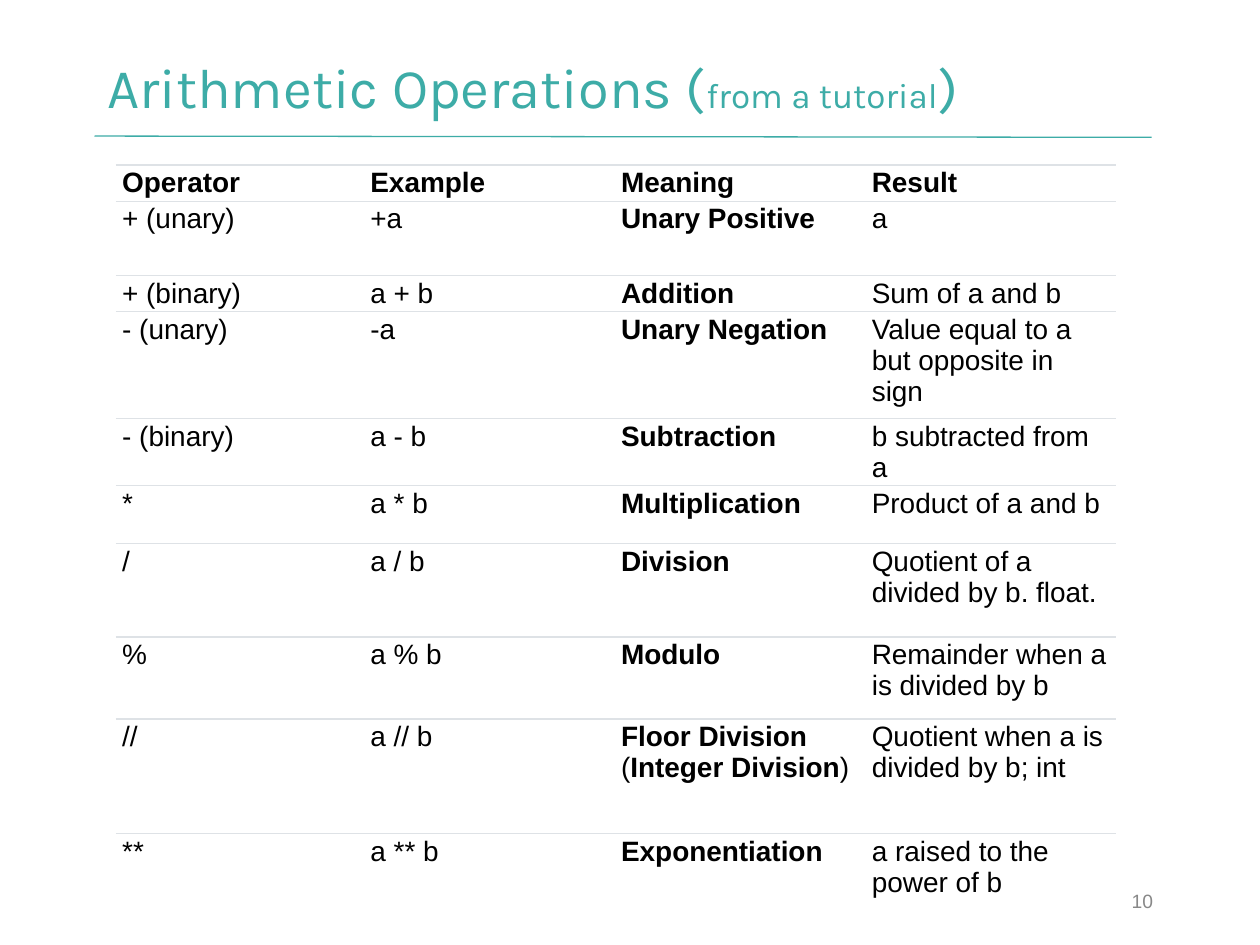
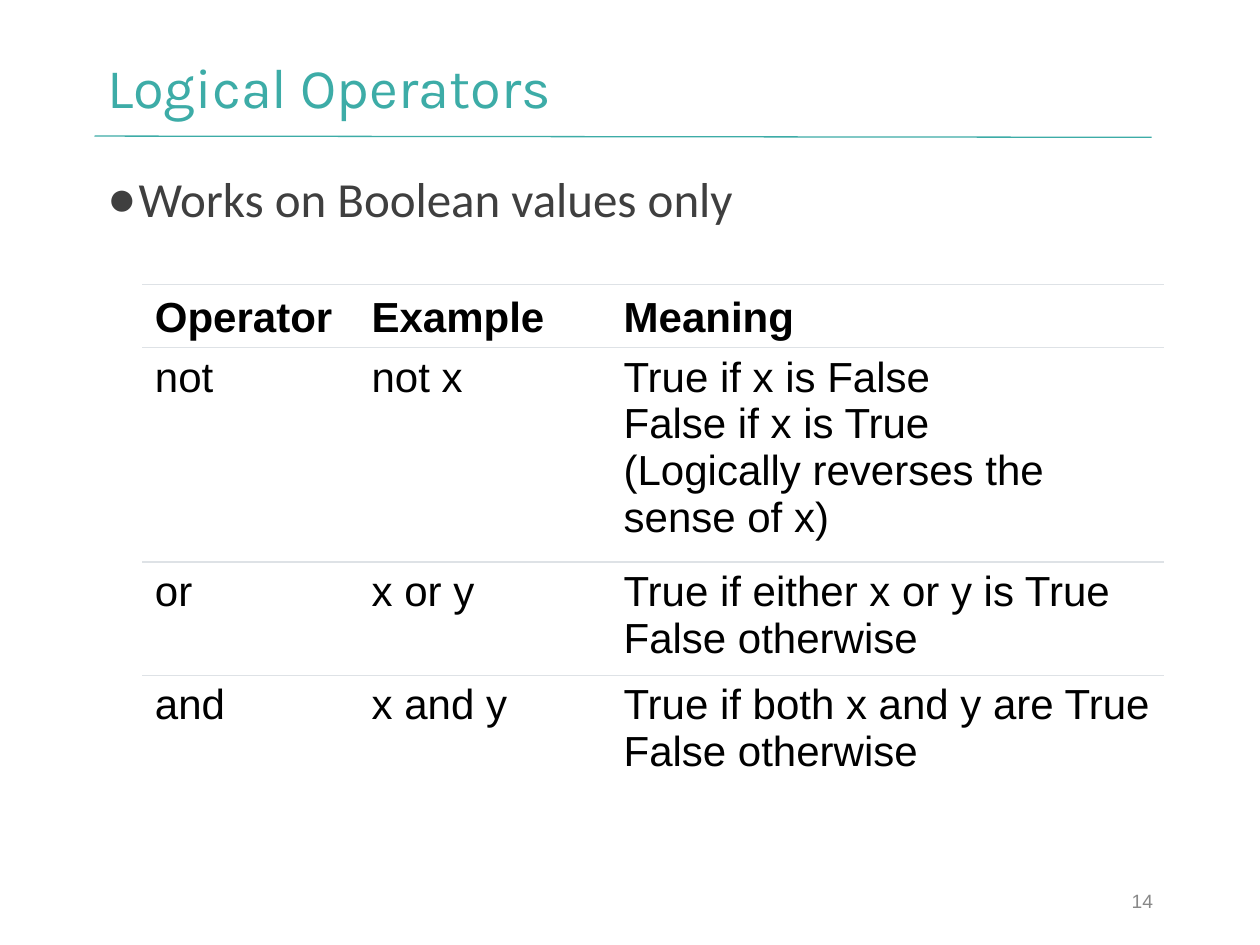
from lxml import etree
from pptx import Presentation
from pptx.dml.color import RGBColor
from pptx.enum.shapes import MSO_CONNECTOR
from pptx.enum.text import MSO_ANCHOR, PP_ALIGN
from pptx.oxml.ns import qn
from pptx.util import Inches, Pt

TEAL = RGBColor(0x3D, 0xAC, 0xA7)
BLACK = RGBColor(0, 0, 0)
WHITE = RGBColor(0xFF, 0xFF, 0xFF)
DARK = RGBColor(0x3F, 0x3F, 0x3F)
GREY = RGBColor(0x88, 0x88, 0x88)
RULE = RGBColor(0xDE, 0xE2, 0xE6)
STRAIGHT = MSO_CONNECTOR.STRAIGHT
TOP, MIDDLE, BOTTOM = MSO_ANCHOR.TOP, MSO_ANCHOR.MIDDLE, MSO_ANCHOR.BOTTOM
LEFT, RIGHT = PP_ALIGN.LEFT, PP_ALIGN.RIGHT
NO_STYLE = "{2D5ABB26-0587-4C30-8999-92F81FD0307C}"

TITLE_BOX = (0.75, 0.35, 7.49, 0.73)
BODY_BOX = (0.75, 1.34, 8.5, 5.42)
PAGE_BOX = (7, 6.95, 2.25, 0.4)

MATH_COLS = [1.97, 1.99, 1.99, 1.99]
MATH_HIGH = [0.26, 0.59, 0.26, 0.85, 0.46, 0.46, 0.74, 0.65, 0.91, 0.46]
MATH = [
    ("Operator", "Example", "Meaning", "Result"),
    ("+ (unary)", "+a", "Unary Positive", "a"),
    ("+ (binary)", "a + b", "Addition", "Sum of a and b"),
    ("- (unary)", "-a", "Unary Negation", "Value equal to a but opposite in sign"),
    ("- (binary)", "a - b", "Subtraction", "b subtracted from a"),
    ("*", "a * b", "Multiplication", "Product of a and b"),
    ("/", "a / b", "Division", "Quotient of a divided by b. float."),
    ("%", "a % b", "Modulo", "Remainder when a is divided by b"),
    ("//", "a // b",
     [("Floor Division", True), (" (", False), ("Integer Division", True), (")", False)],
     "Quotient when a is divided by b; int"),
    ("**", "a ** b", "Exponentiation", "a raised to the power of b"),
]

LOGIC_COLS = [1.72, 2, 4.39]
LOGIC_HIGH = [0.33] * 4
LOGIC = [
    ("Operator", "Example", "Meaning"),
    ("not", "not x",
     "True if x is False\nFalse if x is True\n(Logically reverses the sense of x)"),
    ("or", "x or y", "True if either x or y is True\nFalse otherwise"),
    ("and", "x and y", "True if both x and y are True\nFalse otherwise"),
]


def write(par, text, size=16, font="Arial", color=BLACK, bold=False):
    """Add formatted text to a paragraph, with line breaks at newlines."""
    for i, line in enumerate(text.split("\n")):
        if i:
            par.add_line_break()
        run = par.add_run()
        run.text = line
        run.font.size = Pt(size)
        run.font.name = font
        run.font.color.rgb = color
        run.font.bold = bold


def place(shape, box):
    """Move a shape to a box given in inches."""
    shape.left, shape.top, shape.width, shape.height = map(Inches, box)


def head(slide, parts):
    """Fill the title with (text, size) parts and rule a line below it."""
    title = slide.shapes.title
    place(title, TITLE_BOX)
    title.text_frame.vertical_anchor = MIDDLE
    par = title.text_frame.paragraphs[0]
    par.alignment = LEFT
    par.line_spacing = 0.9
    for text, size in parts:
        write(par, text, size=size, font="Karla", color=TEAL)
    x, y, _, high = TITLE_BOX
    ends = map(Inches, (x, y + high, x + 8.39, y + high + 0.01))
    line = slide.shapes.add_connector(STRAIGHT, *ends)
    line.line.color.rgb = TEAL
    line.line.width = Pt(0.75)
    etree.SubElement(line._element.spPr, qn("a:effectLst"))


def page(slide, num):
    """Put the page number at the lower right."""
    box = slide.shapes.add_textbox(*map(Inches, PAGE_BOX))
    frame = box.text_frame
    frame.word_wrap = True
    frame.vertical_anchor = MIDDLE
    par = frame.paragraphs[0]
    par.alignment = RIGHT
    write(par, str(num), size=11, color=GREY)


def list_body(slide, items):
    """Fill the body placeholder with bulleted items."""
    body = slide.placeholders[1]
    place(body, BODY_BOX)
    frame = body.text_frame
    for i, item in enumerate(items):
        par = frame.add_paragraph() if i else frame.paragraphs[0]
        par.line_spacing = 0.9
        par.space_before = Pt(0)
        write(par, item, size=28, font="Calibri", color=DARK)
        props = par._p.get_or_add_pPr()
        props.set("marL", str(Inches(0.25)))
        props.set("indent", str(-Inches(0.25)))
        tint = etree.SubElement(props, qn("a:buClr"))
        etree.SubElement(tint, qn("a:srgbClr"), val=str(DARK))
        etree.SubElement(props, qn("a:buFont"), typeface="Arial")
        etree.SubElement(props, qn("a:buChar"), char="●")


def edge(cell, side):
    """Rule one side of a cell, lnT or lnB."""
    line = etree.Element(qn("a:" + side), w=str(Pt(0.75)))
    fill = etree.SubElement(line, qn("a:solidFill"))
    etree.SubElement(fill, qn("a:srgbClr"), val=str(RULE))
    cell._tc.get_or_add_tcPr().insert(0, line)


def grid(slide, spot, rows, cols, highs, size=16, pad=(0.1, 0.05), strong=None):
    """Draw a ruled table; the strong column is bold throughout."""
    box = (*spot, sum(cols), sum(highs))
    frame = slide.shapes.add_table(len(rows), len(cols), *map(Inches, box))
    table = frame.table
    table._tbl.tblPr.find(qn("a:tableStyleId")).text = NO_STYLE
    for col, wide in zip(table.columns, cols):
        col.width = Inches(wide)
    for r, row in enumerate(rows):
        table.rows[r].height = Inches(highs[r])
        for c, text in enumerate(row):
            cell = table.cell(r, c)
            cell.margin_left = cell.margin_right = Inches(pad[0])
            cell.margin_top = cell.margin_bottom = Inches(pad[1])
            cell.vertical_anchor = TOP if r else BOTTOM
            cell.fill.solid()
            cell.fill.fore_color.rgb = WHITE
            if r < len(rows) - 1:
                edge(cell, "lnB")
            edge(cell, "lnT")
            plain = isinstance(text, str)
            parts = [(text, r == 0 or c == strong)] if plain else text
            for part, bold in parts:
                write(cell.text_frame.paragraphs[0], part, size=size, bold=bold)


def math_slide(deck):
    """Build the slide of arithmetic operations."""
    slide = deck.slides.add_slide(deck.slide_layouts[5])
    head(slide, [("Arithmetic Operations (", 32), ("from a tutorial", 20), (")", 32)])
    grid(slide, (0.92, 1.31), MATH, MATH_COLS, MATH_HIGH, pad=(0.05, 0.02), strong=2)
    page(slide, 10)


def logic_slide(deck):
    """Build the slide of logical operators."""
    slide = deck.slides.add_slide(deck.slide_layouts[1])
    head(slide, [("Logical Operators", 32)])
    list_body(slide, ["Works on Boolean values only"])
    page(slide, 14)
    grid(slide, (1.13, 2.26), LOGIC, LOGIC_COLS, LOGIC_HIGH, size=24)


def main():
    """Build and save the deck."""
    deck = Presentation()
    deck.slide_width, deck.slide_height = Inches(10), Inches(7.5)
    math_slide(deck)
    logic_slide(deck)
    deck.save("out.pptx")


if __name__ == "__main__":
    main()
